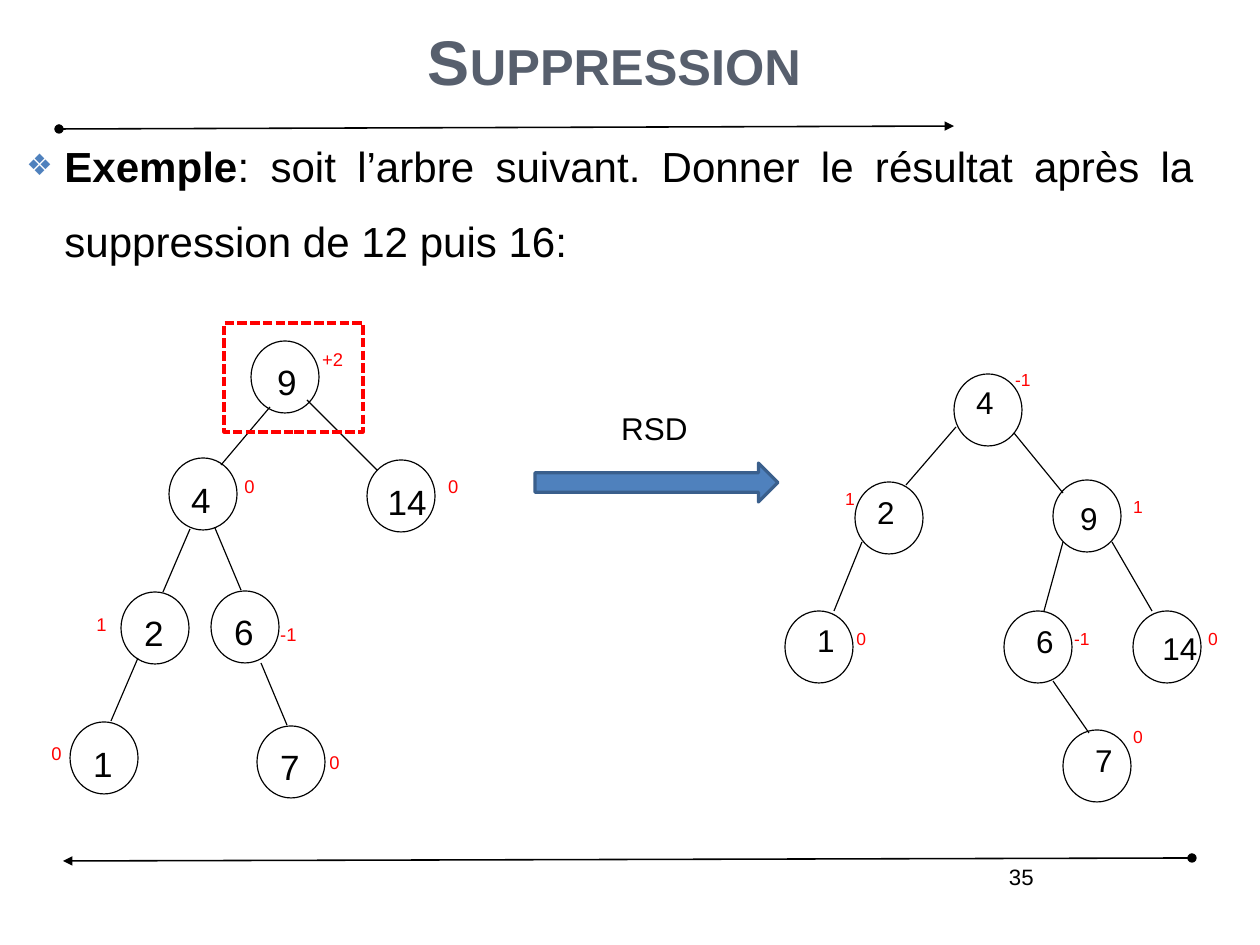
"""Build the slide on deleting keys from a balanced binary tree."""
import pptx
import pptx.dml.color
import pptx.enum.dml
import pptx.enum.shapes
import pptx.enum.text
import pptx.util
from lxml import etree
from pptx.oxml.ns import qn

PX = 8000
ALIGN = pptx.enum.text.PP_ALIGN
ANCHOR = pptx.enum.text.MSO_ANCHOR
FIT = pptx.enum.text.MSO_AUTO_SIZE
SHAPE = pptx.enum.shapes.MSO_SHAPE
RGB = pptx.dml.color.RGBColor.from_string

THEME = {
    "font": "Arial",
    "ink": RGB("000000"), "heading": RGB("575F6D"), "accent": RGB("4F81BD"),
    "accent_edge": RGB("3A5F8C"), "alert": RGB("FF0000"),
    "title": 39.7, "body": 26.5, "page": 14, "step": 19.8,
    "left_key": 22.1, "left_balance": 11.6, "right_key": 19.8, "right_balance": 11,
}


def write(frame, text, size, color, align=ALIGN.LEFT, bold=False, **frame_format):
    """Append a styled run to the first paragraph of a text frame."""
    for name, value in frame_format.items():
        setattr(frame, name, value)
    paragraph = frame.paragraphs[0]
    paragraph.alignment = align
    run = paragraph.add_run()
    run.text = text
    style = {"name": THEME["font"], "size": pptx.util.Pt(size), "bold": bold}
    for name, value in style.items():
        setattr(run.font, name, value)
    run.font.color.rgb = color
    return run


def draw_line(shapes, ends, width, arrow=False):
    """Draw a straight line, with a dot and an arrowhead when asked."""
    line = shapes.add_connector(
        pptx.enum.shapes.MSO_CONNECTOR.STRAIGHT, *(end * PX for end in ends))
    line.line.color.rgb = THEME["ink"]
    line.line.width = pptx.util.Pt(width)
    if arrow:
        stroke = line.line._get_or_add_ln()
        etree.SubElement(stroke, qn("a:headEnd"), type="oval")
        etree.SubElement(stroke, qn("a:tailEnd"), type="triangle")
    etree.SubElement(line._element.spPr, qn("a:effectLst"))


deck = pptx.Presentation()
deck.slide_width, deck.slide_height = 1260 * PX, 945 * PX
slide = deck.slides.add_slide(deck.slide_layouts[1])
heading, exercise = slide.placeholders

for ends in ((59, 129, 954, 126), (1192, 858, 63, 861)):
    draw_line(slide.shapes, ends, 1, arrow=True)

for part, box in ((heading, (63, -103, 1103, 207)), (exercise, (15, 109, 1191, 836))):
    for name, value in zip(("left", "top", "width", "height"), box):
        setattr(part, name, value * PX)
    part.text_frame.paragraphs[0].line_spacing = 1.5

title_run = write(heading.text_frame, "Suppression", THEME["title"], THEME["heading"],
                  ALIGN.CENTER, True, auto_size=FIT.NONE, vertical_anchor=ANCHOR.BOTTOM)
title_run.font._element.set("cap", "small")

write(exercise.text_frame, "Exemple", THEME["body"], THEME["ink"], ALIGN.JUSTIFY, True,
      auto_size=FIT.NONE, vertical_anchor=ANCHOR.TOP)
write(exercise.text_frame,
      ": soit l’arbre suivant. Donner le résultat après la suppression de 12 puis 16:",
      THEME["body"], THEME["ink"], ALIGN.JUSTIFY)
statement = exercise.text_frame.paragraphs[0]
statement.space_before = pptx.util.Pt(6.6)
bullet = statement._p.get_or_add_pPr()
bullet.set("marL", str(38 * PX))
bullet.set("indent", str(-38 * PX))
bullet_color = etree.SubElement(bullet, qn("a:buClr"))
etree.SubElement(bullet_color, qn("a:srgbClr"), val=str(THEME["accent"]))
etree.SubElement(bullet, qn("a:buSzPct"), val="70000")
etree.SubElement(bullet, qn("a:buChar"), char="❖")

# each node: circle left, top; key, its left, top; balance, its left, top
TREES = (
    {"side": "left", "digit": 20, "key_height": 42,
     "nodes": (
         (251, 341, "9", 277, 360, "+2", 311, 343),
         (169, 458, "4", 191, 478, "0", 233, 470),
         (367, 460, "14", 387, 480, "0", 437, 470),
         (121, 592, "2", 144, 611, "1", 85, 608),
         (211, 591, "6", 234, 610, "-1", 269, 618),
         (70, 722, "1", 93, 742, "0", 40, 737),
         (257, 726, "7", 280, 745, "0", 318, 745)),
     "edges": ((270, 407, 221, 465), (307, 400, 377, 470), (190, 529, 163, 592),
               (215, 528, 241, 590), (138, 658, 111, 721), (261, 663, 287, 725))},
    {"side": "right", "digit": 18, "key_height": 38,
     "nodes": (
         (954, 374, "4", 976, 383, "-1", 1004, 363),
         (855, 482, "2", 877, 493, "1", 834, 482),
         (1053, 480, "9", 1080, 499, "1", 1122, 490),
         (785, 611, "1", 817, 621, "0", 845, 622),
         (1004, 611, "6", 1036, 622, "-1", 1063, 622),
         (1133, 611, "14", 1162, 629, "0", 1197, 622),
         (1063, 730, "7", 1095, 741, "0", 1122, 720)),
     "edges": ((956, 427, 906, 485), (1014, 433, 1063, 493), (862, 542, 834, 611),
               (1063, 542, 1044, 611), (1112, 542, 1152, 611), (1053, 681, 1089, 733))},
)
NO_MARGIN = dict.fromkeys(("margin_left", "margin_top", "margin_right", "margin_bottom"), 0)
GROWING = {"word_wrap": False, "auto_size": FIT.SHAPE_TO_FIT_TEXT}

for tree in TREES:
    members = slide.shapes.add_group_shape().shapes
    for left, top, key, key_left, key_top, balance, balance_left, balance_top in tree["nodes"]:
        circle = members.add_shape(SHAPE.OVAL, left * PX, top * PX, 68 * PX, 72 * PX)
        circle.shadow.inherit = False
        circle.fill.background()
        circle.line.color.rgb = THEME["ink"]
        circle.line.width = pptx.util.Pt(0.75)
        key_label = members.add_textbox(key_left * PX, key_top * PX,
                                        tree["digit"] * len(key) * PX, tree["key_height"] * PX)
        write(key_label.text_frame, key, THEME[tree["side"] + "_key"], THEME["ink"],
              ALIGN.CENTER, **GROWING, **NO_MARGIN)
        balance_label = members.add_textbox(balance_left * PX, balance_top * PX,
                                            (21 + 12 * len(balance)) * PX, 34 * PX)
        write(balance_label.text_frame, balance, THEME[tree["side"] + "_balance"],
              THEME["alert"], **GROWING)
    for ends in tree["edges"]:
        draw_line(members, ends, 0.75)

unbalanced = slide.shapes.add_shape(SHAPE.RECTANGLE, 224 * PX, 323 * PX, 139 * PX, 109 * PX)
unbalanced.fill.background()
unbalanced.line.dash_style = pptx.enum.dml.MSO_LINE.SQUARE_DOT
rotation = slide.shapes.add_shape(SHAPE.RIGHT_ARROW, 535 * PX, 463 * PX, 243 * PX, 39 * PX)
rotation.fill.solid()
rotation.fill.fore_color.rgb = THEME["accent"]
for mark, edge in ((unbalanced, "alert"), (rotation, "accent_edge")):
    mark.shadow.inherit = False
    mark.line.color.rgb = THEME[edge]
    mark.line.width = pptx.util.Pt(2)

rotation_name = slide.shapes.add_textbox(610 * PX, 403 * PX, 90 * PX, 49 * PX)
write(rotation_name.text_frame, "RSD", THEME["step"], THEME["ink"], **GROWING)
page_number = slide.shapes.add_textbox(751 * PX, 858 * PX, 294 * PX, 65 * PX)
write(page_number.text_frame, "35", THEME["page"], THEME["ink"], ALIGN.RIGHT, word_wrap=True)

deck.save("out.pptx")
